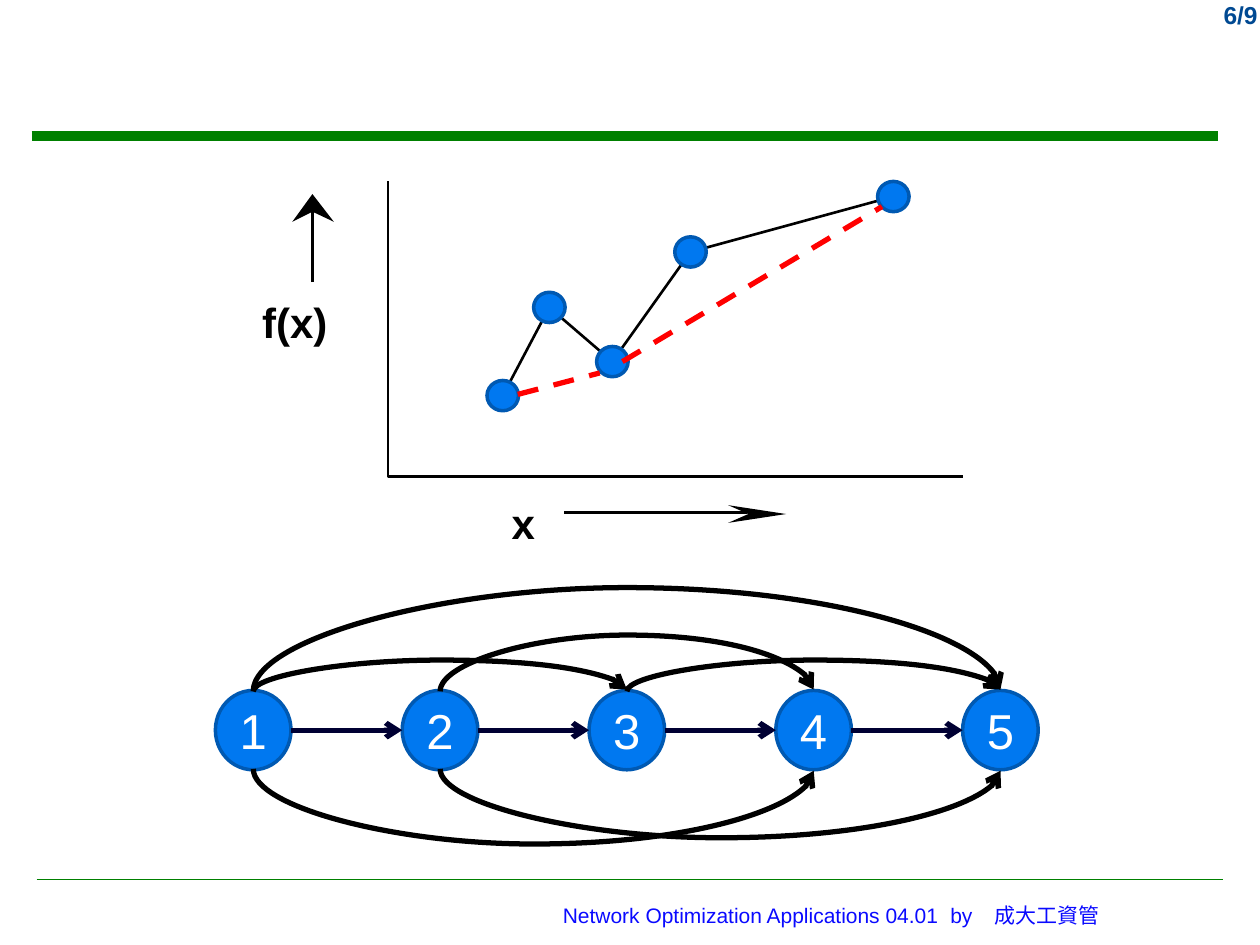
from dataclasses import dataclass
from itertools import pairwise

from lxml.etree import SubElement
from pptx import Presentation
from pptx.dml.color import RGBColor
from pptx.enum.dml import MSO_LINE
from pptx.enum.shapes import MSO_CONNECTOR, MSO_SHAPE
from pptx.enum.text import MSO_ANCHOR, PP_ALIGN
from pptx.oxml.ns import qn
from pptx.util import Inches, Pt


@dataclass(frozen=True)
class Theme:
    font: str = "Arial"
    rule: str = "008000"
    page: str = "004992"
    footer: str = "0A0AFF"
    ink: str = "000000"
    node: str = "0078F0"
    node_edge: str = "0059B2"
    node_text: str = "FFFFFF"
    step: str = "000033"
    hull: str = "FF0000"
    page_size: int = 14
    footer_size: int = 12
    label_size: int = 24
    node_size: int = 28


@dataclass(frozen=True)
class Box:
    left: float
    top: float
    width: float
    height: float

    def at(self, x, y):
        return Inches(self.left + x), Inches(self.top + y)

    def lengths(self):
        return [Inches(v) for v in (self.left, self.top, self.width, self.height)]


THEME = Theme()


def rgb(code):
    return RGBColor.from_string(code)


def add_run(paragraph, text, size, color, bold=False, spacing=None):
    run = paragraph.add_run()
    run.text = text
    run.font.name = THEME.font
    run.font.size = Pt(size)
    run.font.bold = bold
    run.font.color.rgb = rgb(color)
    if spacing:
        run.font._element.set("spc", str(spacing))


def clear_margins(frame):
    frame.margin_left = frame.margin_right = 0
    frame.margin_top = frame.margin_bottom = 0


def style_connector(connector, color, width, arrow=False, dash=None):
    line = connector.line
    line.color.rgb = rgb(color)
    line.width = Pt(width)
    if dash:
        line.dash_style = dash
    if arrow:
        SubElement(line._get_or_add_ln(), qn("a:tailEnd"), type="arrow")
    SubElement(connector._element.spPr, qn("a:effectLst"))


def add_line(slide, start, end, color, width, **style):
    line = slide.shapes.add_connector(MSO_CONNECTOR.STRAIGHT, *start, *end)
    style_connector(line, color, width, **style)


def add_outline(slide, points, closed=False):
    """Black filled shape when closed, black open line otherwise."""
    builder = slide.shapes.build_freeform(*points[0])
    builder.add_line_segments(points[1:], close=closed)
    outline = builder.convert_to_shape()
    outline.shadow.inherit = False
    if closed:
        outline.fill.solid()
        outline.fill.fore_color.rgb = rgb(THEME.ink)
        outline.line.fill.background()
    else:
        outline.fill.background()
        outline.line.color.rgb = rgb(THEME.ink)
        outline.line.width = Pt(1.5)


def add_circle(slide, box):
    circle = slide.shapes.add_shape(MSO_SHAPE.OVAL, *box.lengths())
    circle.shadow.inherit = False
    circle.fill.solid()
    circle.fill.fore_color.rgb = rgb(THEME.node)
    circle.line.color.rgb = rgb(THEME.node_edge)
    circle.line.width = Pt(2)
    return circle


def add_axis_label(slide, text, box):
    frame = slide.shapes.add_textbox(*box.lengths()).text_frame
    frame.word_wrap = False
    clear_margins(frame)
    add_run(frame.paragraphs[0], text, THEME.label_size, THEME.ink, bold=True)


def add_arc(slide, start, span, rise, above):
    """Curved arrow that leaves start, bulges by rise and lands span to the right."""
    x, y = start
    arc = slide.shapes.add_connector(MSO_CONNECTOR.CURVE, 0, 0, 0, 0)
    # A quarter turn makes the thin box lie flat, so its height is the span.
    thickness = Pt(1)
    arc.left, arc.top = x + (span - thickness) // 2, y - span // 2
    arc.width, arc.height = thickness, span
    frame = arc._element.spPr.find(qn("a:xfrm"))
    frame.set("rot", str((90 if above else 270) * 60000))
    frame.set("flipH", "1")
    if above:
        frame.set("flipV", "1")
    geometry = arc._element.spPr.find(qn("a:prstGeom"))
    adjustments = geometry.find(qn("a:avLst"))
    if adjustments is None:
        adjustments = SubElement(geometry, qn("a:avLst"))
    bulge = round(rise / thickness * 100000)
    SubElement(adjustments, qn("a:gd"), name="adj1", fmla=f"val {bulge}")
    style_connector(arc, THEME.ink, 3, arrow=True)


def add_header(slide, box):
    add_line(slide, box.at(0.25, 1.08), box.at(9.67, 1.08), THEME.rule, 5.25)
    number = Box(box.left + 9.17, box.top - 0.05, 0.91, 0.33)
    frame = slide.shapes.add_textbox(*number.lengths()).text_frame
    frame.word_wrap = True
    frame.paragraphs[0].alignment = PP_ALIGN.RIGHT
    add_run(frame.paragraphs[0], "6/9", THEME.page_size, THEME.page, bold=True)


def add_footer(slide, box):
    add_line(slide, box.at(0.29, 0), box.at(9.71, 0), THEME.rule, 1)
    credit = Box(box.left + 3.4, box.top + 0.08, 6.39, 0.4)
    frame = slide.shapes.add_textbox(*credit.lengths()).text_frame
    frame.word_wrap = True
    frame.vertical_anchor = MSO_ANCHOR.MIDDLE
    paragraph = frame.paragraphs[0]
    paragraph.alignment = PP_ALIGN.CENTER
    for text, spacing in (("Network Optimization Applications 04.01", None), (" ", 330),
                          ("by", None), (" ", 900), ("成大工資管", None)):
        add_run(paragraph, text, THEME.footer_size, THEME.footer, spacing=spacing)


def add_function_plot(slide, box):
    origin, x_end = box.at(1, box.height), box.at(box.width, box.height)
    add_outline(slide, [box.at(1, 0), origin, x_end])

    add_axis_label(slide, "x", Box(box.left + 1.98, box.top + 2.51, 0.29, 0.3))
    x_head = [(4.16, 2.64), (3.7, 2.71), (3.86, 2.64), (3.7, 2.57)]
    add_outline(slide, [box.at(*point) for point in x_head], closed=True)
    add_line(slide, box.at(2.4, 2.63), box.at(3.85, 2.63), THEME.ink, 1.5)

    add_axis_label(slide, "f(x)", Box(box.left, box.top + 0.91, 0.81, 0.3))
    y_head = [(0.4, 0.1), (0.57, 0.32), (0.4, 0.24), (0.24, 0.32)]
    add_outline(slide, [box.at(*point) for point in y_head], closed=True)
    add_line(slide, box.at(0.4, 0.8), box.at(0.4, 0.24), THEME.ink, 1.5)

    samples = [(1.91, 1.7), (2.28, 1), (2.78, 1.43), (3.4, 0.56), (5.01, 0.12)]
    add_outline(slide, [box.at(*sample) for sample in samples])
    width, height = 0.25, 0.24
    for x, y in samples:
        add_circle(slide, Box(box.left + x - width / 2, box.top + y - height / 2,
                              width, height))
    for start, end in (((2.03, 1.69), (2.68, 1.52)), ((2.86, 1.43), (4.92, 0.2))):
        add_line(slide, box.at(*start), box.at(*end), THEME.hull, 3, dash=MSO_LINE.DASH)


def add_network(slide, box):
    """Five numbered nodes in a row, with steps between neighbours and arcs over others."""
    count, width = 5, 0.6
    pitch = (box.width - width) / (count - 1)
    lefts = [i * pitch for i in range(count)]
    for number, left in enumerate(lefts, 1):
        node = add_circle(slide, Box(box.left + left, box.top, width, box.height))
        frame = node.text_frame
        frame.word_wrap = False
        clear_margins(frame)
        frame.vertical_anchor = MSO_ANCHOR.MIDDLE
        frame.paragraphs[0].alignment = PP_ALIGN.CENTER
        add_run(frame.paragraphs[0], str(number), THEME.node_size, THEME.node_text)
    for left, following in pairwise(lefts):
        add_line(slide, box.at(left + width, box.height / 2),
                 box.at(following, box.height / 2), THEME.step, 3, arrow=True)
    arcs = [(1, 5, 0.83, True), (2, 4, 0.45, True), (3, 5, 0.25, True),
            (1, 4, 0.6, False), (2, 5, 0.55, False), (1, 3, 0.25, True)]
    for source, target, rise, above in arcs:
        start = box.at(lefts[source - 1] + width / 2, 0 if above else box.height)
        add_arc(slide, start, Inches((target - source) * pitch), Inches(rise), above)


def main():
    deck = Presentation()
    deck.slide_width, deck.slide_height = Inches(10), Inches(7.5)
    slide = deck.slides.add_slide(deck.slide_layouts[6])
    add_header(slide, Box(0, 0, 10, 1.1))
    add_footer(slide, Box(0, 6.98, 10, 0.52))
    add_function_plot(slide, Box(2.08, 1.44, 5.56, 2.34))
    add_network(slide, Box(1.71, 5.48, 6.53, 0.63))
    deck.save("out.pptx")


if __name__ == "__main__":
    main()
